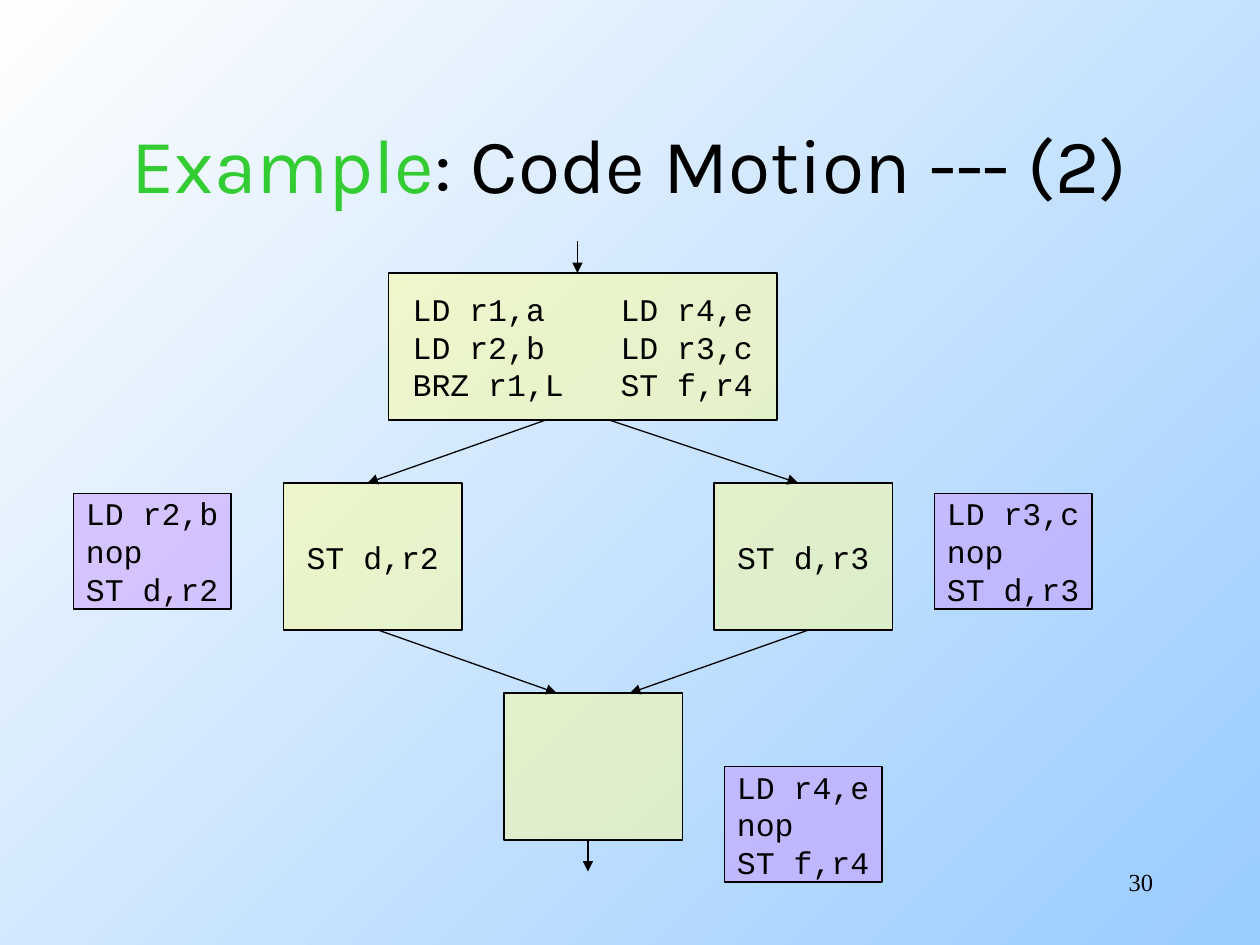
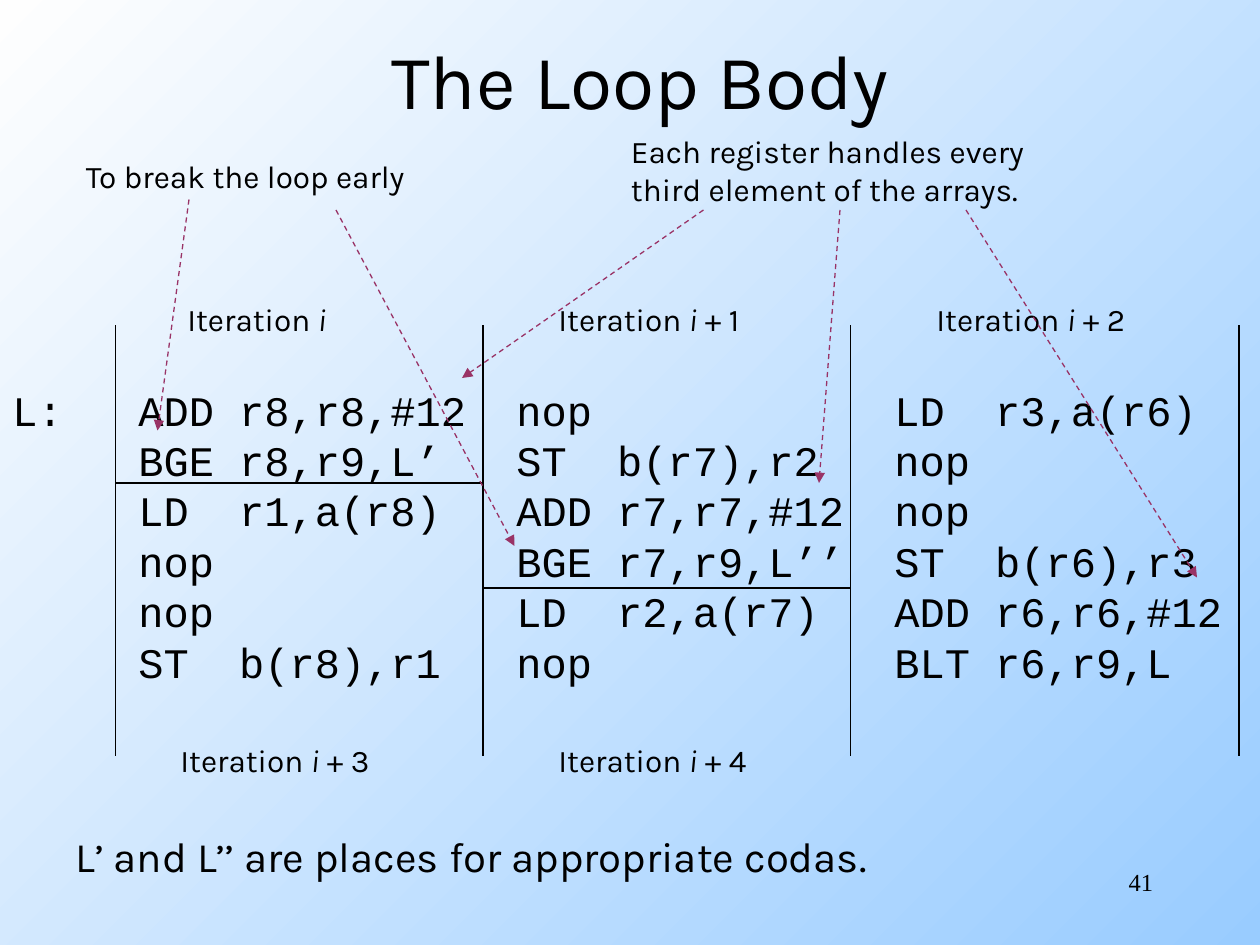
from pptx import Presentation
from pptx.dml.color import RGBColor
from pptx.enum.dml import MSO_LINE
from pptx.enum.shapes import MSO_CONNECTOR, MSO_SHAPE
from pptx.enum.text import MSO_ANCHOR, PP_ALIGN
from pptx.oxml.ns import qn
from pptx.util import Pt
from lxml.etree import SubElement

BLACK = RGBColor(0x00, 0x00, 0x00)
GREEN = RGBColor(0x33, 0xCC, 0x33)
PLUM = RGBColor(0x99, 0x33, 0x66)
YELLOW = RGBColor(0xFF, 0xFF, 0x99)
VIOLET = RGBColor(0xCC, 0x99, 0xFF)
SKY = RGBColor(0x99, 0xCC, 0xFF)
WHITE = RGBColor(0xFE, 0xFE, 0xFE)
SANS, MONO, SERIF = "Karla", "Courier New", "Times New Roman"
CHAR_W = 10.8

BLOCK_SIZE, SCHEDULE_SIZE = (102, 84), (90, 66)
BLOCKS = [
    (222, 156, (222, 84), YELLOW,
     ["LD r1,a\tLD r4,e", "LD r2,b\tLD r3,c", "BRZ r1,L\tST f,r4"]),
    (408, 276, BLOCK_SIZE, YELLOW, ["ST d,r3"]),
    (162, 276, BLOCK_SIZE, YELLOW, ["ST d,r2"]),
    (288, 396, BLOCK_SIZE, YELLOW, []),
    (42, 282, SCHEDULE_SIZE, VIOLET, ["LD r2,b", "nop", "ST d,r2"]),
    (534, 282, SCHEDULE_SIZE, VIOLET, ["LD r3,c", "nop", "ST d,r3"]),
    (414, 438, SCHEDULE_SIZE, VIOLET, ["LD r4,e", "nop", "ST f,r4"]),
]
FLOW = [
    (330, 138, 330, 156),
    (312, 240, 210, 276), (348, 240, 456, 276),
    (216, 360, 318, 396), (462, 360, 360, 396),
    (336, 480, 336, 498),
]

LOOP = [
    ("L:", "ADD r8,r8,#12", "nop", "LD  r3,a(r6)"),
    ("", "BGE r8,r9,L’", "ST  b(r7),r2", "nop"),
    ("", "LD  r1,a(r8)", "ADD r7,r7,#12", "nop"),
    ("", "nop", "BGE r7,r9,L’’", "ST  b(r6),r3"),
    ("", "nop", "LD  r2,a(r7)", "ADD r6,r6,#12"),
    ("", "ST  b(r8),r1", "nop", "BLT r6,r9,L"),
]
LOOP_TABS = (72, 288, 504)
COLUMN_EDGES = (66, 276, 486, 708)
COLUMN_TOP, COLUMN_BOTTOM = 186, 432
ITERATION_ENDS = (276, 336)
ITERATIONS = [
    (100, 168, ""), (312, 168, " + 1"), (528, 168, " + 2"),
    (96, 420, " + 3"), (312, 420, " + 4"),
]
NOTES = [
    (42, 86.4, 209, 18, ["To break the loop early"]),
    (353.5, 72, 247, 18,
     ["Each register handles every", "third element of the arrays."]),
    (36, 471, 486, 24, ["L’ and L’’ are places for appropriate codas."]),
]
POINTERS = [
    (108, 114, 90, 246), (192, 120, 294, 312),
    (402, 120, 264, 216), (480, 120, 468, 276), (552, 120, 684, 330),
]


def write(sp, lines, font, size, align=PP_ALIGN.LEFT, anchor=MSO_ANCHOR.TOP,
          tabs=(), inset=7.2):
    tf = sp.text_frame
    tf.word_wrap = True
    tf.vertical_anchor = anchor
    tf.margin_left = Pt(inset)
    tf.margin_right = Pt(min(inset, 7.2))
    for i, runs in enumerate(lines):
        p = tf.add_paragraph() if i else tf.paragraphs[0]
        p.alignment = align
        if tabs:
            tab_list = SubElement(p._p.get_or_add_pPr(), qn("a:tabLst"))
            for pos in tabs:
                SubElement(tab_list, qn("a:tab"), pos=str(Pt(pos)), algn="l")
        for text, color, italic in runs:
            r = p.add_run()
            r.text = text
            r.font.name = font
            r.font.size = Pt(size)
            r.font.color.rgb = color
            r.font.italic = italic


def plain(lines):
    return [[(line, BLACK, False)] for line in lines]


def add_text(slide, x, y, w, h, lines, font, size, **style):
    sp = slide.shapes.add_textbox(Pt(x), Pt(y), Pt(w), Pt(h))
    write(sp, lines, font, size, **style)


def add_line(slide, x1, y1, x2, y2, color=BLACK, arrow=False, dashed=False):
    cxn = slide.shapes.add_connector(
        MSO_CONNECTOR.STRAIGHT, Pt(x1), Pt(y1), Pt(x2), Pt(y2))
    cxn.line.color.rgb = color
    cxn.line.width = Pt(0.75)
    if dashed:
        cxn.line.dash_style = MSO_LINE.DASH
    if arrow:
        SubElement(cxn.line._get_or_add_ln(), qn("a:tailEnd"), type="triangle")
    SubElement(cxn._element.spPr, qn("a:effectLst"))


def add_block(slide, x, y, size, color, lines):
    w, h = size
    sp = slide.shapes.add_shape(
        MSO_SHAPE.RECTANGLE, Pt(x), Pt(y), Pt(w), Pt(h))
    sp.shadow.inherit = False
    sp.fill.solid()
    sp.fill.fore_color.rgb = color
    clr = sp._element.spPr.find(qn("a:solidFill"))[0]
    SubElement(clr, qn("a:alpha"), val="50000")
    sp.line.color.rgb = BLACK
    sp.line.width = Pt(0.75)
    if lines:
        chars = 18 if "\t" in lines[0] else 7
        write(sp, plain(lines), MONO, 18, anchor=MSO_ANCHOR.MIDDLE,
              tabs=(11 * CHAR_W,) if chars == 18 else (),
              inset=round((w - chars * CHAR_W) / 2, 2))


def add_slide(prs, number, title, x, y):
    slide = prs.slides.add_slide(prs.slide_layouts[6])
    fill = slide.background.fill
    fill.gradient()
    fill.gradient_angle = 135
    for stop, color in zip(fill.gradient_stops, (SKY, WHITE)):
        stop.color.rgb = color
    add_text(slide, x, y, 612, 90, [title], SANS, 44,
             align=PP_ALIGN.CENTER, anchor=MSO_ANCHOR.MIDDLE)
    add_text(slide, 516, 492, 150, 36, plain([str(number)]), SERIF, 14,
             align=PP_ALIGN.RIGHT)
    return slide


def build_code_motion(prs):
    title = [("Example", GREEN, False), (": Code Motion --- (2)", BLACK, False)]
    slide = add_slide(prs, 30, title, 54, 48)
    for block in BLOCKS:
        add_block(slide, *block)
    for ends in FLOW:
        add_line(slide, *ends, arrow=True)


def build_loop_body(prs):
    slide = add_slide(prs, 41, [("The Loop Body", BLACK, False)], 60, 0)
    add_text(slide, 0, 216, 720, 180, plain("\t".join(row) for row in LOOP),
             MONO, 24, tabs=LOOP_TABS)
    for x in COLUMN_EDGES:
        add_line(slide, x, COLUMN_TOP, x, COLUMN_BOTTOM)
    for left, right, y in zip(COLUMN_EDGES, COLUMN_EDGES[1:], ITERATION_ENDS):
        add_line(slide, left, y, right, y)
    for x, y, offset in ITERATIONS:
        runs = [("Iteration ", BLACK, False), ("i", BLACK, True)]
        if offset:
            runs.append((offset, BLACK, False))
        add_text(slide, x, y, 127, 29, [runs], SANS, 18)
    for x, y, w, size, lines in NOTES:
        add_text(slide, x, y, w, 7.2 + 1.2 * size * len(lines), plain(lines),
                 SANS, size)
    for ends in POINTERS:
        add_line(slide, *ends, color=PLUM, arrow=True, dashed=True)


def main():
    prs = Presentation()
    prs.slide_width, prs.slide_height = Pt(720), Pt(540)
    build_code_motion(prs)
    build_loop_body(prs)
    prs.save("out.pptx")


if __name__ == "__main__":
    main()
